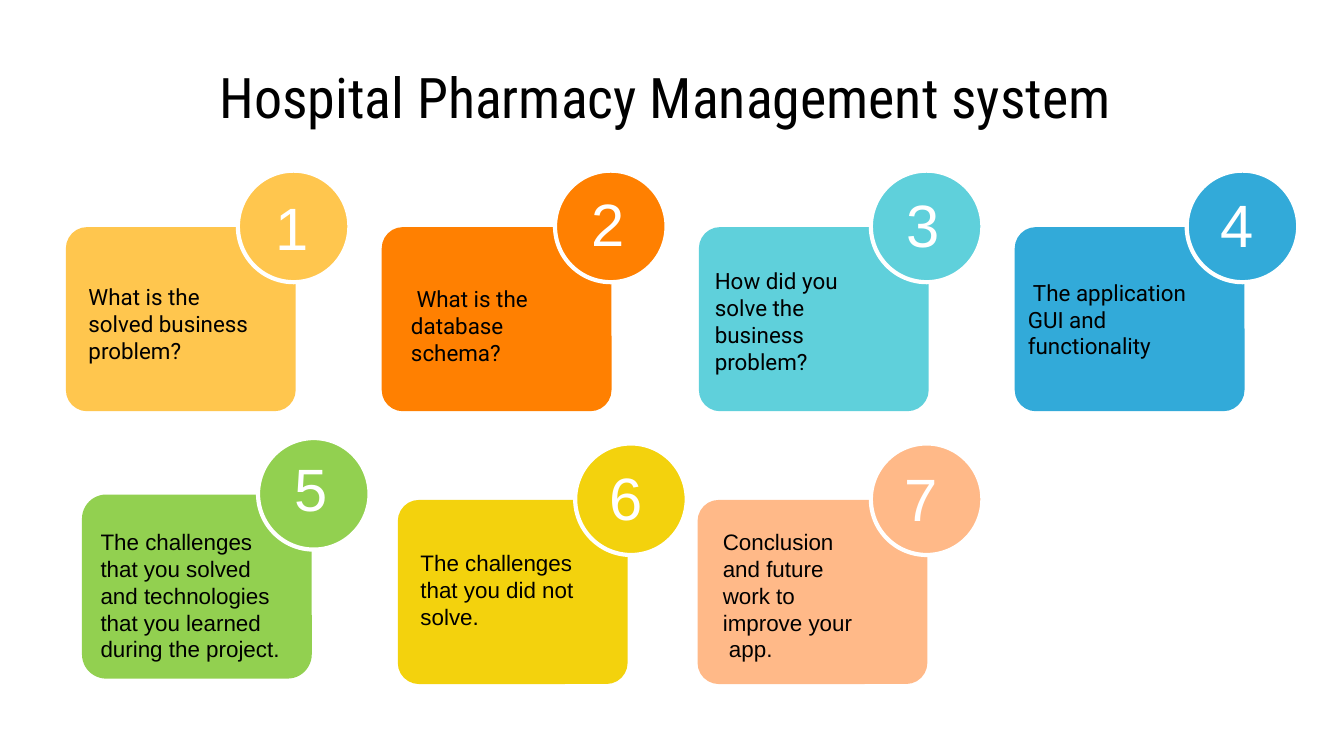
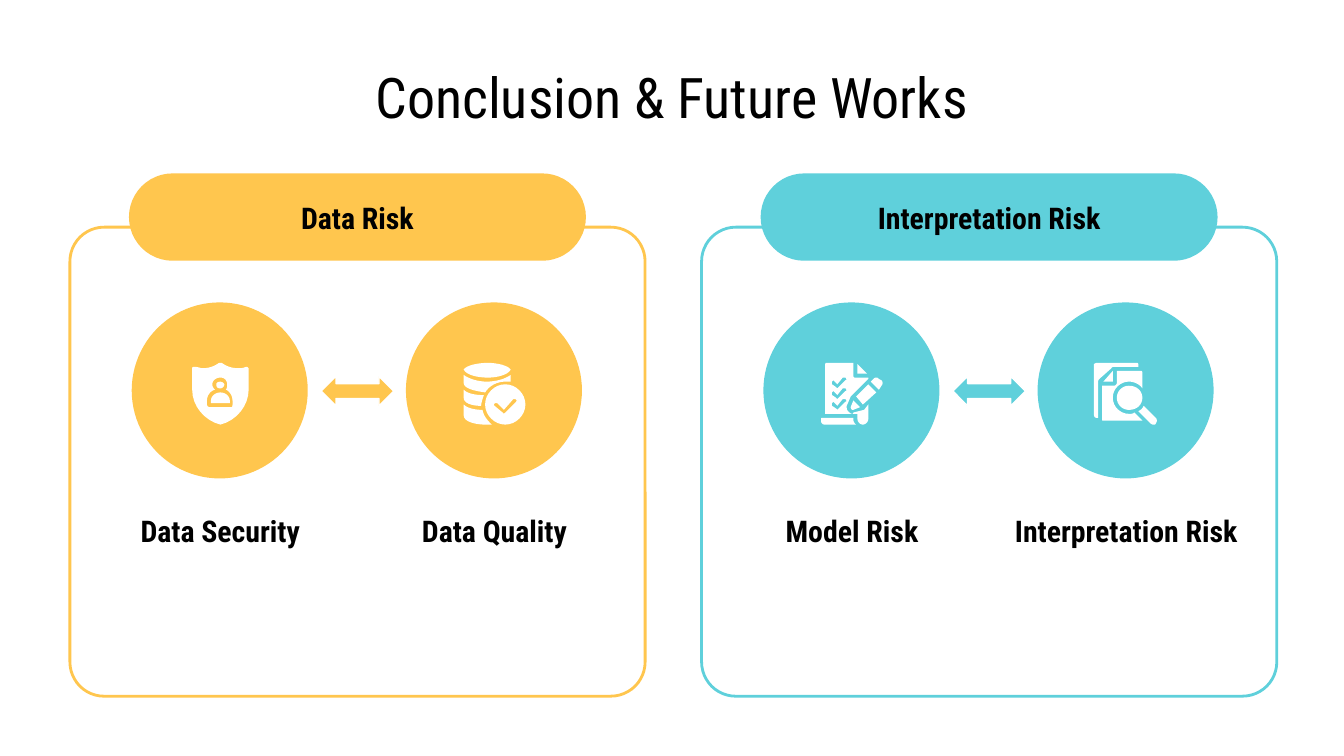
"""Builds two slides on a hospital pharmacy system: its agenda and its conclusion."""
from collections import namedtuple

from pptx import Presentation
from pptx.dml.color import RGBColor
from pptx.enum.shapes import MSO_SHAPE
from pptx.enum.text import MSO_ANCHOR, MSO_AUTO_SIZE, PP_ALIGN
from pptx.util import Emu, Pt

PX = 9144
NBSP = chr(160)
ROUNDED, OVAL, ARROW = MSO_SHAPE.ROUNDED_RECTANGLE, MSO_SHAPE.OVAL, MSO_SHAPE.LEFT_RIGHT_ARROW
TOP, MIDDLE = MSO_ANCHOR.TOP, MSO_ANCHOR.MIDDLE
LEFT, CENTER = PP_ALIGN.LEFT, PP_ALIGN.CENTER
GROW, FIXED = MSO_AUTO_SIZE.SHAPE_TO_FIT_TEXT, MSO_AUTO_SIZE.NONE
HEAD_FONT, BODY_FONT, PLAIN_FONT = "Roboto Condensed", "Roboto", "Arial"

COLORS = {
    "black": "000000",
    "white": "FFFFFF",
    "amber": "FFC64E",
    "orange": "FF8001",
    "teal": "5FD0DB",
    "blue": "32AAD9",
    "green": "92D050",
    "yellow": "F3D20D",
    "peach": "FFB988",
}

Card = namedtuple("Card", "at color text font text_box badge digit round", defaults=[0.115])
Item = namedtuple("Item", "label label_w icon icon_w")

CARDS = [
    Card((49, 169), "amber", "What is the solved business problem?", BODY_FONT,
         (7, 13, 145, 117), 128, (18, 10)),
    Card((284, 169), "orange", " What is the database schema?", BODY_FONT,
         (12, 16, 140, 114), 129, (17, 7)),
    Card((520, 169), "teal", "How did you solve the business problem?", BODY_FONT,
         (2, 10, 145, 120), 128, (17, 8)),
    Card((755, 169), "blue", " The application GUI and functionality", BODY_FONT,
         (0, 7, 150, 123), 128, (15, 8)),
    Card((61, 368), "green",
         "The challenges that you solved and technologies that you learned during the project.",
         PLAIN_FONT, (4, 20, 163, 111), 131, (17, 5), 0.132),
    Card((296, 372), "yellow", "The challenges that you did not solve.", PLAIN_FONT,
         (7, 32, 141, 71), 132, (16, 8)),
    Card((519, 372), "peach", f"Conclusion and future work to improve{NBSP}your{NBSP}app.",
         PLAIN_FONT, (9, 16, 120, 111), 129, (15, 9)),
]

SHIELD = [
    "M21,22 C17,22 14,25 14,28 L14,30 28,30 28,28 C28,25 25,22 21,22",
    "M21,14 C19,14 18,15 18,16 18,18 19,19 21,19 22,19 24,18 24,16 24,15 22,14 21,14",
    "M21,11 C24,11 26,13 26,16 26,18 26,19 25,20 28,21 30,25 30,28 L30,31 "
    "C30,32 30,33 29,33 L13,33 C12,33 11,32 11,31 L11,28 C11,25 13,21 17,20 "
    "16,19 15,18 15,16 15,13 18,11 21,11 "
    "M21,0 20,0 C16,3 12,4 8,4 6,4 4,3 2,3 L1,3 C0,3 0,4 0,4 L0,20 "
    "C0,32 9,43 21,46 33,43 42,32 42,20 L42,4 C42,4 41,3 41,3 L40,3 "
    "C38,4 36,4 34,4 30,4 26,3 22,0",
]
DATABASE = [
    "M18,0 C10,0 2,2 0,5 2,9 10,11 18,11 25,11 33,9 35,5 33,2 25,0 18,0",
    "M0,9 0,15 C0,19 8,21 16,22 19,17 25,14 31,14 L35,14 35,9 C31,12 24,14 17,14 11,14 4,12 0,9",
    "M38,27 C39,27 40,28 39,29 L31,37 30,38 29,37 23,32 C22,31 23,30 24,30 L25,30 30,35 37,27 "
    "M31,16 C23,16 16,23 16,31 16,39 23,46 31,46 39,46 46,39 46,31 46,23 39,16 31,16",
    "M0,20 0,26 C0,30 6,32 13,32 13,30 14,27 15,24 9,24 3,23 0,20",
    "M0,31 0,39 C0,44 9,46 17,46 L21,46 C18,43 15,40 14,35 9,35 3,34 0,31",
]
TICKS = " ".join(
    f"M17,{y} 18,{y} C19,{y + 1} 19,{y + 2} 18,{y + 2} L13,{y + 7} 12,{y + 8} 11,{y + 7} "
    f"8,{y + 5} 8,{y + 3} 9,{y + 2} 10,{y + 3} 12,{y + 5} 16,{y}"
    for y in (11, 19, 27))
CHECKLIST = [
    TICKS + " M4,0 C3,0 3,1 3,1 L3,38 27,38 27,42 C27,44 29,46 31,46 33,46 35,44 35,42 "
    "L35,31 32,35 24,37 C24,38 23,38 23,38 22,38 21,37 20,36 19,35 19,34 19,32 "
    "L22,25 35,12 35,11 25,11 C24,11 24,10 24,10 L24,0",
    "M41,11 C40,11 40,11 39,12 L37,14 43,20 45,17 C46,16 46,14 45,13 L43,12 C42,11 42,11 41,11",
    "M24,28 22,33 C22,34 23,35 23,35 L24,35 29,33",
    "M35,16 26,25 31,31 41,22",
    "M27,1 27,8 34,8",
    "M1,41 C0,41 0,41 0,42 L0,43 C0,45 1,46 3,46 L26,46 C25,45 24,44 24,42 L24,41",
]
DOCUMENTS = [
    "M2,0 C1,0 0,1 0,1 L0,39 C0,40 1,41 2,41 L3,41 3,15 C3,14 3,13 4,12 "
    "L13,4 C13,3 15,3 16,3 L33,3 33,1 C33,1 33,0 32,0",
    "M14,6 7,14 14,14",
    "M26,17 C21,17 17,21 17,26 17,31 21,35 26,35 32,35 36,31 36,26 36,21 32,17 26,17",
    "M17,6 17,15 C17,16 16,17 15,17 L6,17 6,42 C6,43 6,43 7,43 L36,43 30,37 "
    "C29,38 28,38 26,38 20,38 14,33 14,26 14,19 20,14 26,14 30,14 34,16 36,19 "
    "L36,7 C36,6 35,6 35,6",
    "M37,32 C36,34 35,35 33,36 L42,45 C43,46 44,46 44,46 45,46 46,46 46,45 "
    "47,44 47,42 46,41",
]

PANELS = [
    (52, "amber", "Data Risk",
     [Item("Data Security", 196, SHIELD, 42), Item("Data Quality", 196, DATABASE, 46)]),
    (522, "teal", "Interpretation Risk",
     [Item("Model Risk", 196, CHECKLIST, 46), Item("Interpretation Risk", 212, DOCUMENTS, 47)]),
]


def rgb(name):
    """Return the named colour."""
    return RGBColor.from_string(COLORS[name])


def px(*values):
    """Turn px lengths into EMU."""
    return [Emu(v * PX) for v in values]


def paint(sp, fill, line=None, width=0):
    """Give a shape its fill and outline, without a shadow."""
    sp.shadow.inherit = False
    sp.fill.solid()
    sp.fill.fore_color.rgb = rgb(fill)
    if line:
        sp.line.color.rgb = rgb(line)
        sp.line.width = Pt(width)
    else:
        sp.line.fill.background()


def add_shape(s, kind, box, fill, line=None, width=0, adj=None):
    """Add a painted preset shape."""
    sp = s.shapes.add_shape(kind, *px(*box))
    paint(sp, fill, line, width)
    if adj is not None:
        sp.adjustments[0] = adj


def add_text(s, box, text, font, size, color="black", bold=False, align=LEFT,
             anchor=TOP, insets=(10, 5), fit=FIXED):
    """Add a wrapped text box with one style."""
    tf = s.shapes.add_textbox(*px(*box)).text_frame
    tf.word_wrap = True
    tf.auto_size = fit
    tf.vertical_anchor = anchor
    tf.margin_left, tf.margin_top = tf.margin_right, tf.margin_bottom = px(*insets)
    p = tf.paragraphs[0]
    p.text = text
    p.alignment = align
    f = p.runs[0].font
    f.name, f.size, f.bold = font, Pt(size), bold
    f.color.rgb = rgb(color)


def add_title(s, text):
    """Add the slide title."""
    add_text(s, (50, 45, 900, 53), text, HEAD_FONT, 30, align=CENTER, anchor=MIDDLE,
             insets=(10, 10))


def add_label(s, box, text):
    """Add a bold centred label."""
    add_text(s, box, text, HEAD_FONT, 16, bold=True, align=CENTER, anchor=MIDDLE, insets=(20, 0))


def bezier(points, steps=8):
    """Return points along a cubic curve, leaving out its start."""
    weights = [((1 - t) ** 3, 3 * t * (1 - t) ** 2, 3 * t * t * (1 - t), t ** 3)
               for t in (i / steps for i in range(1, steps + 1))]
    return [tuple(sum(w * pt[axis] for w, pt in zip(ws, points)) for axis in (0, 1))
            for ws in weights]


def contours(outline):
    """Turn move, line and curve commands into lists of points."""
    result, curve, cmd = [], [], "M"
    for token in outline.split():
        if token[0].isalpha():
            cmd, token = token[0], token[1:]
        point = tuple(int(v) for v in token.split(","))
        if cmd == "M":
            result.append([point])
            cmd = "L"
        elif cmd == "L":
            result[-1].append(point)
        else:
            curve.append(point)
            if len(curve) == 3:
                result[-1] += bezier([result[-1][-1]] + curve)
                curve = []
    return result


def add_icon(s, x, y, outlines):
    """Add a white icon as one group of outlines."""
    shapes = s.shapes.add_group_shape().shapes
    for outline in outlines:
        builder = None
        for contour in contours(outline):
            start, *rest = [(a * PX, b * PX) for a, b in contour]
            if builder is None:
                builder = shapes.build_freeform(*start)
            else:
                builder.move_to(*start)
            builder.add_line_segments(rest, close=True)
        paint(builder.convert_to_shape(*px(x, y)), "white")


def add_card(s, number, card):
    """Add an agenda card with its numbered badge."""
    x, y = card.at
    dx, dy, w, h = card.text_box
    bx, by = x + card.badge, y - 42
    plain = card.font == PLAIN_FONT
    add_shape(s, ROUNDED, (x, y, 171, 137), card.color, adj=card.round)
    add_shape(s, OVAL, (bx, by, 83, 83), card.color, "white", 2.25)
    add_text(s, (x + dx, y + dy, w, h), card.text, card.font, 12,
             anchor=TOP if plain else MIDDLE, fit=GROW if plain else FIXED)
    add_text(s, (bx + card.digit[0], by + card.digit[1], 26, 64), str(number),
             PLAIN_FONT, 32, "white", fit=GROW)


def add_panel(s, x, y, color, heading, items):
    """Add a framed panel that links two icon circles."""
    add_shape(s, ROUNDED, (x, y, 428, 349), "white", color, 1.5, adj=0.073)
    add_shape(s, ROUNDED, (x + 44, y - 40, 340, 65), color, adj=0.5)
    add_label(s, (x + 90, y - 25, 248, 36), heading)
    add_shape(s, ARROW, (x + 187, y + 111, 54, 22), color, "white", 0.75)
    for i, item in enumerate(items):
        cx = x + 46 + 204 * i
        add_shape(s, OVAL, (cx, y + 56, 131, 131), color)
        add_icon(s, cx + (132 - item.icon_w) // 2, y + 101, item.icon)
        add_label(s, (cx + 66 - item.label_w // 2, y + 208, item.label_w, 36), item.label)


def agenda_slide(s):
    """Fill the slide of numbered agenda cards."""
    add_title(s, "Hospital Pharmacy Management system ")
    for number, card in enumerate(CARDS, 1):
        add_card(s, number, card)


def conclusion_slide(s):
    """Fill the slide of two risk panels."""
    add_title(s, "Conclusion & Future Works")
    for x, color, heading, items in PANELS:
        add_panel(s, x, 169, color, heading, items)


def main():
    """Build and save the slides."""
    prs = Presentation()
    prs.slide_width = Emu(1000 * PX)
    prs.slide_height = Emu(prs.slide_width * 9 // 16)
    for fill_slide in (agenda_slide, conclusion_slide):
        fill_slide(prs.slides.add_slide(prs.slide_layouts[6]))
    prs.save("out.pptx")


if __name__ == "__main__":
    main()
